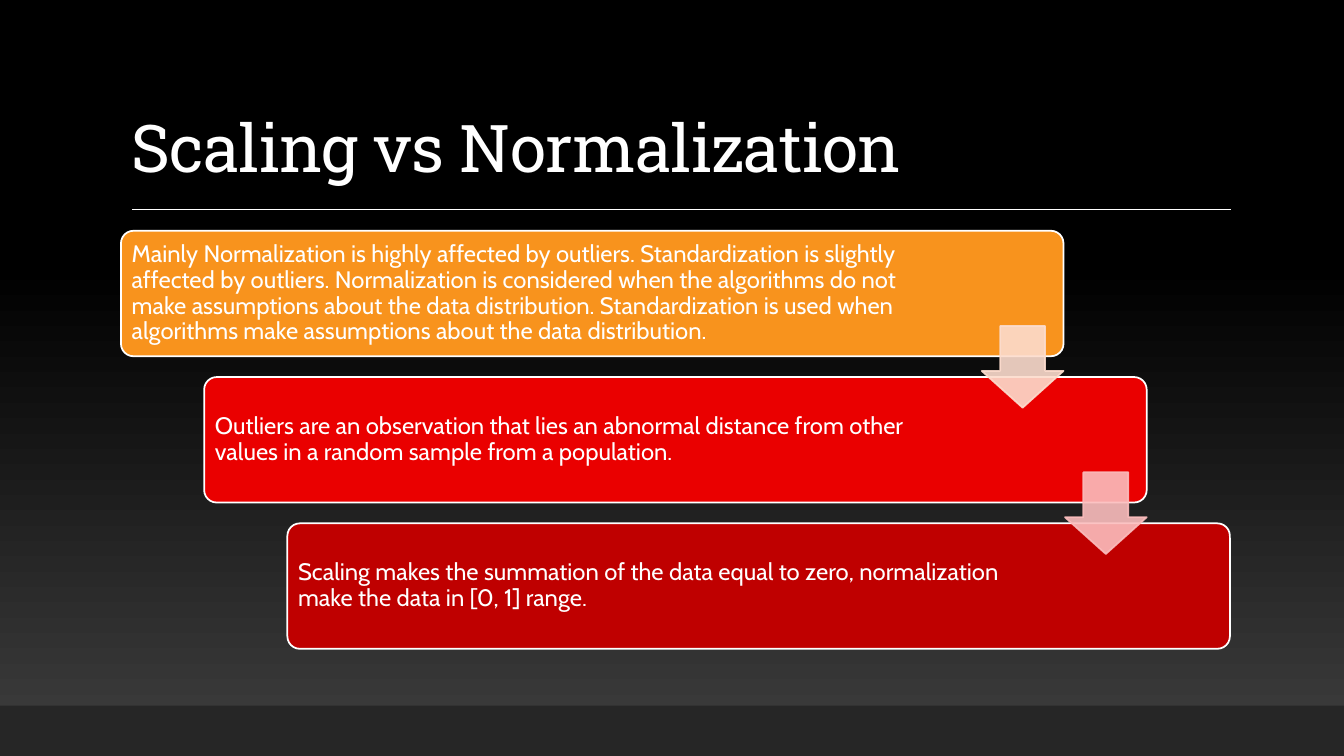
from dataclasses import dataclass

from lxml import etree
from pptx import Presentation
from pptx.dml.color import RGBColor
from pptx.enum.shapes import MSO_CONNECTOR, MSO_SHAPE
from pptx.enum.text import MSO_ANCHOR, PP_ALIGN
from pptx.oxml.ns import qn
from pptx.shapes.autoshape import Shape
from pptx.slide import Slide
from pptx.text.text import TextFrame
from pptx.util import Inches, Pt

ROUNDED = MSO_SHAPE.ROUNDED_RECTANGLE
RECTANGLE = MSO_SHAPE.RECTANGLE
DOWN_ARROW = MSO_SHAPE.DOWN_ARROW
STRAIGHT = MSO_CONNECTOR.STRAIGHT
MIDDLE, BOTTOM = MSO_ANCHOR.MIDDLE, MSO_ANCHOR.BOTTOM
LEFT = PP_ALIGN.LEFT
TITLE_ONLY = 5

SLIDE_WIDTH, SLIDE_HEIGHT = Inches(13.33), Inches(7.5)


@dataclass(frozen=True)
class Theme:
    title_font: str = "Roboto Slab"
    body_font: str = "Cabin"
    title_size: float = 47
    body_size: float = 17
    text: str = "FFFFFF"
    glow: str = "3F3F3F"
    dark: str = "000000"
    footer: str = "262626"
    outline: float = 1.25
    rule: float = 1


@dataclass(frozen=True)
class Box:
    """A rectangle in percent of the slide's width and height."""
    left: float
    top: float
    width: float
    height: float


@dataclass(frozen=True)
class Step:
    text: str
    color: str
    right_inset: float
    arrow_color: str | None = None


THEME = Theme()
TITLE_BOX = Box(9, 4.13, 82.5, 21.2)
FOOTER_BOX = Box(0, 93.33, 100, 6.67)
FIRST_CARD = Box(9, 30.53, 70.13, 16.6)
STEP_RIGHT, STEP_DOWN = 6.19, 19.35
ARROW_WIDTH, ARROW_HEIGHT, ARROW_DROP = 6.08, 10.8, 12.6
RULE_LEFT, RULE_RIGHT, RULE_TOP = 9.83, 91.6, 27.73

STEPS = (
    Step("Mainly Normalization is highly affected by outliers. Standardization is "
         "slightly affected by outliers. Normalization is considered when the "
         "algorithms do not make assumptions about the data distribution. "
         "Standardization is used when algorithms make assumptions about the data "
         "distribution.", "F8931D", 1.33, "FCDCCD"),
    Step("Outliers are an observation that lies an abnormal distance from other "
         "values in a random sample from a population.", "EA0000", 1.7, "FBBDBD"),
    Step("Scaling makes the summation of the data equal to zero, normalization make "
         "the data in [0, 1] range.", "BF0000", 1.7),
)


def across(percent: float) -> int:
    return round(SLIDE_WIDTH * percent / 100)


def down(percent: float) -> int:
    return round(SLIDE_HEIGHT * percent / 100)


def write(frame: TextFrame, text: str, *, font: str, size: float,
          anchor: MSO_ANCHOR, spacing: float = 0) -> None:
    """Fill a frame with one left-aligned paragraph; spacing is in points."""
    frame.word_wrap = True
    frame.vertical_anchor = anchor
    paragraph = frame.paragraphs[0]
    paragraph.alignment = LEFT
    paragraph.line_spacing = 0.9
    run = paragraph.add_run()
    run.text = text
    run.font.name = font
    run.font.size = Pt(size)
    run.font.color.rgb = RGBColor.from_string(THEME.text)
    if spacing:
        run._r.get_or_add_rPr().set("spc", str(round(spacing * 100)))


def add_block(slide: Slide, kind: MSO_SHAPE, box: Box, fill: str,
              line: str | None = None,
              adjustments: tuple[float, ...] = ()) -> Shape:
    shape = slide.shapes.add_shape(kind, across(box.left), down(box.top),
                                   across(box.width), down(box.height))
    shape.shadow.inherit = False
    for index, value in enumerate(adjustments):
        shape.adjustments[index] = value
    shape.fill.solid()
    shape.fill.fore_color.rgb = RGBColor.from_string(fill)
    if line:
        shape.line.color.rgb = RGBColor.from_string(line)
        shape.line.width = Pt(THEME.outline)
    else:
        shape.line.fill.background()
    return shape


def set_opacity(shape: Shape, percent: int) -> None:
    """Make both the fill and the outline partly transparent."""
    for color in shape._element.spPr.iter(qn("a:srgbClr")):
        etree.SubElement(color, qn("a:alpha")).set("val", str(percent * 1000))


def paint_background(slide: Slide) -> None:
    fill = slide.background.fill
    fill.gradient()
    fill.gradient_angle = 90
    stops = ((0, THEME.glow), (0.65, THEME.dark))
    for stop, (position, color) in zip(fill.gradient_stops, stops):
        stop.position = position
        stop.color.rgb = RGBColor.from_string(color)


def add_title(slide: Slide, text: str) -> None:
    title = slide.shapes.title
    title.left, title.top = across(TITLE_BOX.left), down(TITLE_BOX.top)
    title.width, title.height = across(TITLE_BOX.width), down(TITLE_BOX.height)
    write(title.text_frame, text, font=THEME.title_font, size=THEME.title_size,
          anchor=BOTTOM, spacing=-0.5)


def add_rule(slide: Slide) -> None:
    rule = slide.shapes.add_connector(STRAIGHT, across(RULE_LEFT), down(RULE_TOP),
                                      across(RULE_RIGHT), down(RULE_TOP))
    rule.line.color.rgb = RGBColor.from_string(THEME.text)
    rule.line.width = Pt(THEME.rule)
    etree.SubElement(rule._element.spPr, qn("a:effectLst"))


def card_box(index: int) -> Box:
    return Box(FIRST_CARD.left + index * STEP_RIGHT,
               FIRST_CARD.top + index * STEP_DOWN,
               FIRST_CARD.width, FIRST_CARD.height)


def add_card(slide: Slide, step: Step, box: Box) -> None:
    card = add_block(slide, ROUNDED, box, step.color, THEME.text, (0.1,))
    frame = card.text_frame
    frame.margin_left = frame.margin_top = frame.margin_bottom = Inches(0.07)
    frame.margin_right = Inches(step.right_inset)
    write(frame, step.text, font=THEME.body_font, size=THEME.body_size,
          anchor=MIDDLE)


def add_arrow(slide: Slide, color: str, card: Box) -> None:
    """Place an arrow flush with the card's right edge, pointing to the next card."""
    box = Box(card.left + card.width - ARROW_WIDTH, card.top + ARROW_DROP,
              ARROW_WIDTH, ARROW_HEIGHT)
    arrow = add_block(slide, DOWN_ARROW, box, color, color, (0.55, 0.45))
    # The preset lists the shaft width first, then the head length.
    set_opacity(arrow, 90)


def main() -> None:
    presentation = Presentation()
    presentation.slide_width, presentation.slide_height = SLIDE_WIDTH, SLIDE_HEIGHT
    slide = presentation.slides.add_slide(presentation.slide_layouts[TITLE_ONLY])
    paint_background(slide)
    add_title(slide, "Scaling vs Normalization")
    add_rule(slide)
    add_block(slide, RECTANGLE, FOOTER_BOX, THEME.footer)
    for index, step in enumerate(STEPS):
        add_card(slide, step, card_box(index))
    for index, step in enumerate(STEPS):
        if step.arrow_color:
            add_arrow(slide, step.arrow_color, card_box(index))
    presentation.save("out.pptx")


if __name__ == "__main__":
    main()
